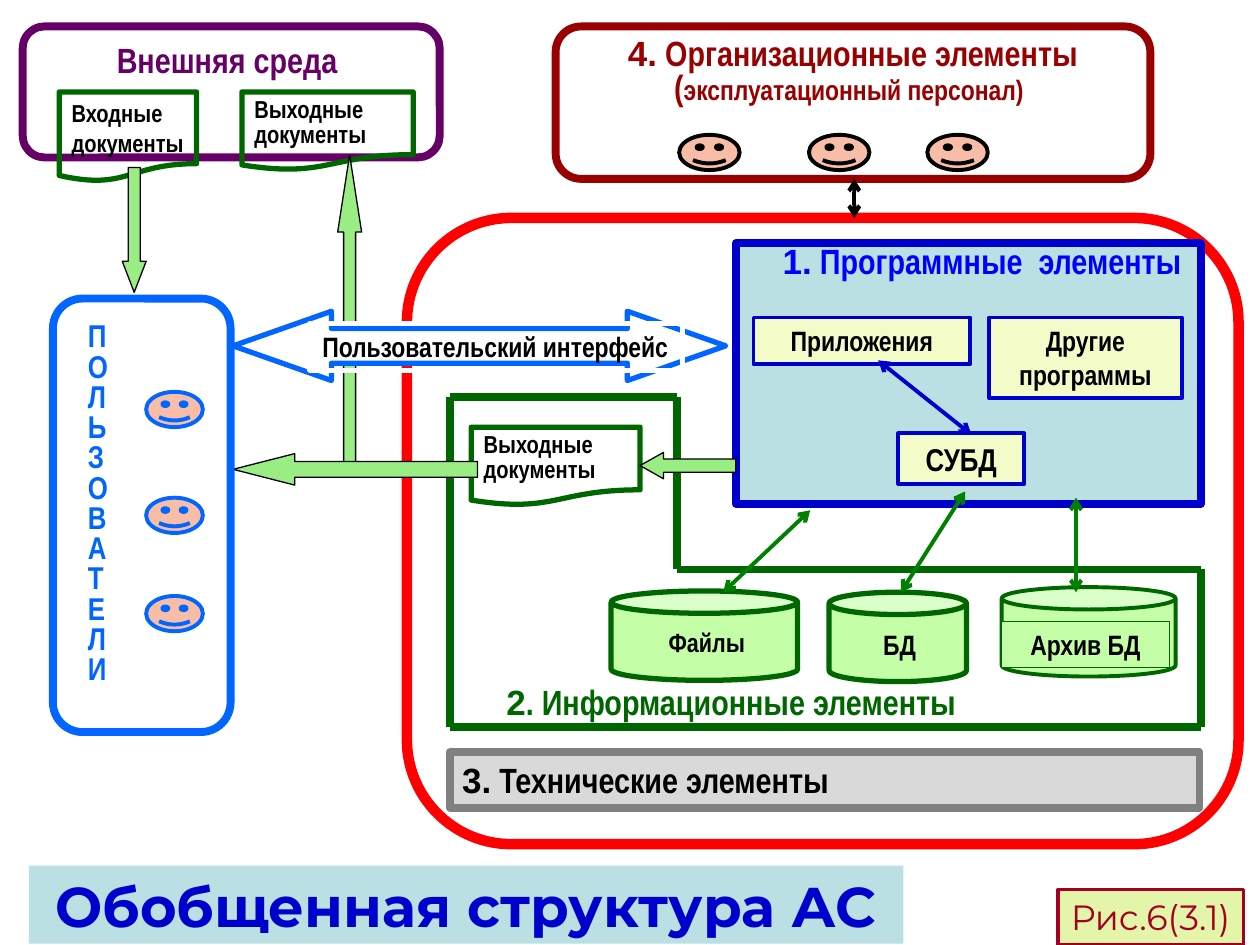
from itertools import pairwise

from lxml import etree
from pptx import Presentation
from pptx.dml.color import RGBColor
from pptx.enum.shapes import MSO_CONNECTOR, MSO_SHAPE as S
from pptx.enum.text import MSO_ANCHOR, MSO_AUTO_SIZE, PP_ALIGN
from pptx.oxml.ns import qn
from pptx.util import Pt

PX = 9144
LEFT, MID = PP_ALIGN.LEFT, PP_ALIGN.CENTER
ROUND, RECT, DOC, CAN = S.FLOWCHART_ALTERNATE_PROCESS, S.RECTANGLE, S.FLOWCHART_DOCUMENT, S.CAN
FACE, UP, DOWN, BACK, BOTH = S.SMILEY_FACE, S.UP_ARROW, S.DOWN_ARROW, S.LEFT_ARROW, S.LEFT_RIGHT_ARROW
ARIAL, SLIM, MONT = "Arial", "Arial Narrow", "Montserrat"
WHITE, BLACK, RED, PLUM, WINE = "FFFFFF", "000000", "FF0000", "660066", "990000"
NAVY, BLUE, SKY, PALE, CREAM = "0000CC", "0000FF", "0066FF", "BBE0E3", "F3FCC8"
GREEN, LEAF, MINT, LIME = "006600", "008000", "C4FFA7", "9AED83"
SKIN, GREY, DARK, RUBY, SAND = "F8BDA6", "D9D9D9", "808080", "A50021", "E3F5A9"


def label(text, size=16, **fmt):
    return [[(line, size, SLIM)] for line in text.split("\n")], fmt


def headed(num, text, **fmt):
    return [[(num, 20, ARIAL), (text, 20, SLIM)]], fmt


OUTPUT = label("Выходные\nдокументы", 14, align=LEFT, space=0.85)
STAFF = [[("4.", 20, ARIAL), (" Организационные элементы (", 20, SLIM),
          ("эксплуатационный персонал)", 16, SLIM), (" ", 20, SLIM)]]
TITLE = [[("Обобщенная структура АС", 32, MONT)]]
FIGURE = [[("Рис.6(3.1)", 20, MONT)]]

BASE = [
    (ROUND, (323, 173, 660, 497), WHITE, RED, 6),
    (RECT, (584, 193, 369, 207), PALE, NAVY, 4.5),
    (RECT, (608, 193, 343, 35), None, None, 0,
     headed("1.", " Программные  элементы", color=BLUE, space=0.75)),
    (CAN, (658, 470, 109, 71), MINT, GREEN, 3),
    (RECT, (678, 493, 72, 37), MINT, MINT, 3, label("БД")),
    (RECT, (357, 597, 595, 44), GREY, DARK, 4.5,
     headed("3.", " Технические элементы", align=LEFT)),
    (ROUND, (18, 21, 331, 104), None, PLUM, 4.5,
     label("Внешняя среда ", 20, color=PLUM, before=12.5)),
    (DOC, (47, 73, 109, 71), None, GREEN, 3,
     label("Входные\nдокументы", 14, align=LEFT, wrap=False)),
    (DOC, (192, 73, 136, 62), None, GREEN, 3, OUTPUT),
    (ROUND, (441, 21, 472, 121), None, WINE, 4.5,
     (STAFF, dict(color=WINE, space=0.8, before=6.2))),
    *[(FACE, (x, 107, 48, 28), SKIN, BLACK, 2.25, None, [0.09]) for x in (539, 642, 736)],
    (RECT, (598, 252, 172, 37), CREAM, NAVY, 2.25, label("Приложения")),
    (RECT, (713, 344, 100, 40), CREAM, NAVY, 2.25, label("СУБД", 18)),
    (RECT, (785, 252, 153, 64), CREAM, NAVY, 2.25, label("Другие\nпрограммы")),
    (DOC, (374, 339, 134, 62), None, GREEN, 3, OUTPUT),
    (CAN, (795, 466, 138, 71), MINT, GREEN, 2.25),
    (RECT, (795, 493, 133, 37), MINT, GREEN, 0.25, label("Архив БД")),
]
FRAME = [(357, 577), (953, 577), (953, 452), (537, 452), (537, 315), (357, 315), (357, 577)]
FRONT = [
    (RECT, (392, 535, 379, 44), None, None, 0,
     headed("2", ". Информационные элементы", color=GREEN, align=LEFT, wrap=False)),
    (UP, (268, 123, 19, 244), LIME, BLACK, 0.75, None, [0.5, 3.22]),
    (DOWN, (97, 133, 19, 99), LIME, BLACK, 0.75, None, [0.5, 1.3]),
    (BOTH, (185, 247, 391, 55), WHITE, SKY, 3, None, [0.5, 1.42]),
    (RECT, (246, 257, 296, 37), None, WHITE, 3,
     label("Пользовательский интерфейс", align=LEFT, wrap=False)),
    (BACK, (185, 360, 194, 25), LIME, BLACK, 0.75, None, [0.5, 1.96]),
    (ROUND, (42, 237, 141, 344), None, SKY, 4.5),
    *[(FACE, (116, y, 45, 28), SKIN, SKY, 2.25, None, [0.09]) for y in (311, 395, 473)],
    (RECT, (60, 252, 46, 298), WHITE, WHITE, 0.75,
     label("\n".join("ПОЛЬЗОВАТЕЛИ"), 18, color=SKY, align=LEFT, space=0.8)),
    (BACK, (508, 359, 76, 21), LIME, BLACK, 0.75, None, [0.5, 0.89]),
    (CAN, (485, 469, 148, 71), MINT, GREEN, 3),
    (RECT, (512, 492, 98, 35), MINT, MINT, 3, label("Файлы", 15)),
    (RECT, (840, 706, 147, 44), SAND, RUBY, 2.25,
     (FIGURE, dict(color=RUBY, bold=False, align=LEFT, wrap=False))),
]
LINKS = [
    ((766, 390), (715, 470), LEAF),
    ((854, 395), (854, 470), LEAF),
    ((697, 286), (771, 345), NAVY),
    ((678, 142), (678, 173), BLACK),
    ((643, 405), (574, 470), LEAF),
]


def rgb(code):
    return RGBColor.from_string(code)


def write(frame, paras, color=BLACK, bold=True, align=MID, space=None, before=None,
          wrap=True, anchor=MSO_ANCHOR.TOP, fit=MSO_AUTO_SIZE.SHAPE_TO_FIT_TEXT):
    frame.word_wrap = wrap
    frame.auto_size = fit
    frame.vertical_anchor = anchor
    for i, runs in enumerate(paras):
        para = frame.add_paragraph() if i else frame.paragraphs[0]
        para.alignment = align
        if space:
            para.line_spacing = space
        if before:
            para.space_before = Pt(before)
        for text, size, face in runs:
            run = para.add_run()
            run.text = text
            font = run.font
            font.size, font.name, font.bold = Pt(size), face, bold
            font.color.rgb = rgb(color)


def draw(kind, box, fill, line, width, text=None, adj=()):
    place = [v * PX for v in box]
    if fill or line:
        shape = slide.shapes.add_shape(kind, *place)
        shape.shadow.inherit = False
    else:
        shape = slide.shapes.add_textbox(*place)
    if fill:
        shape.fill.solid()
        shape.fill.fore_color.rgb = rgb(fill)
    else:
        shape.fill.background()
    if line:
        shape.line.color.rgb = rgb(line)
        shape.line.width = Pt(width)
    for i, value in enumerate(adj):
        shape.adjustments[i] = value
    if text:
        paras, fmt = text
        write(shape.text_frame, paras, **fmt)


def join(start, end, color, width, heads=False):
    link = slide.shapes.add_connector(
        MSO_CONNECTOR.STRAIGHT, *[v * PX for v in start + end])
    link.line.color.rgb = rgb(color)
    link.line.width = Pt(width)
    if heads:
        for tag in ("a:headEnd", "a:tailEnd"):
            etree.SubElement(link.line._get_or_add_ln(), qn(tag), type="arrow")
    etree.SubElement(link._element.spPr, qn("a:effectLst"))


deck = Presentation()
deck.slide_width, deck.slide_height = 1000 * PX, 750 * PX
slide = deck.slides.add_slide(deck.slide_layouts[5])

title = slide.shapes.title
title.left, title.top, title.width, title.height = [v * PX for v in (23, 687, 694, 62)]
title.fill.solid()
title.fill.fore_color.rgb = rgb(PALE)
write(title.text_frame, TITLE, color=NAVY, anchor=MSO_ANCHOR.MIDDLE, fit=MSO_AUTO_SIZE.NONE)

for item in BASE:
    draw(*item)
for start, end in pairwise(FRAME):
    join(start, end, GREEN, 4.5)
for item in FRONT:
    draw(*item)
for start, end, color in LINKS:
    join(start, end, color, 2.25, heads=True)

deck.save("out.pptx")
